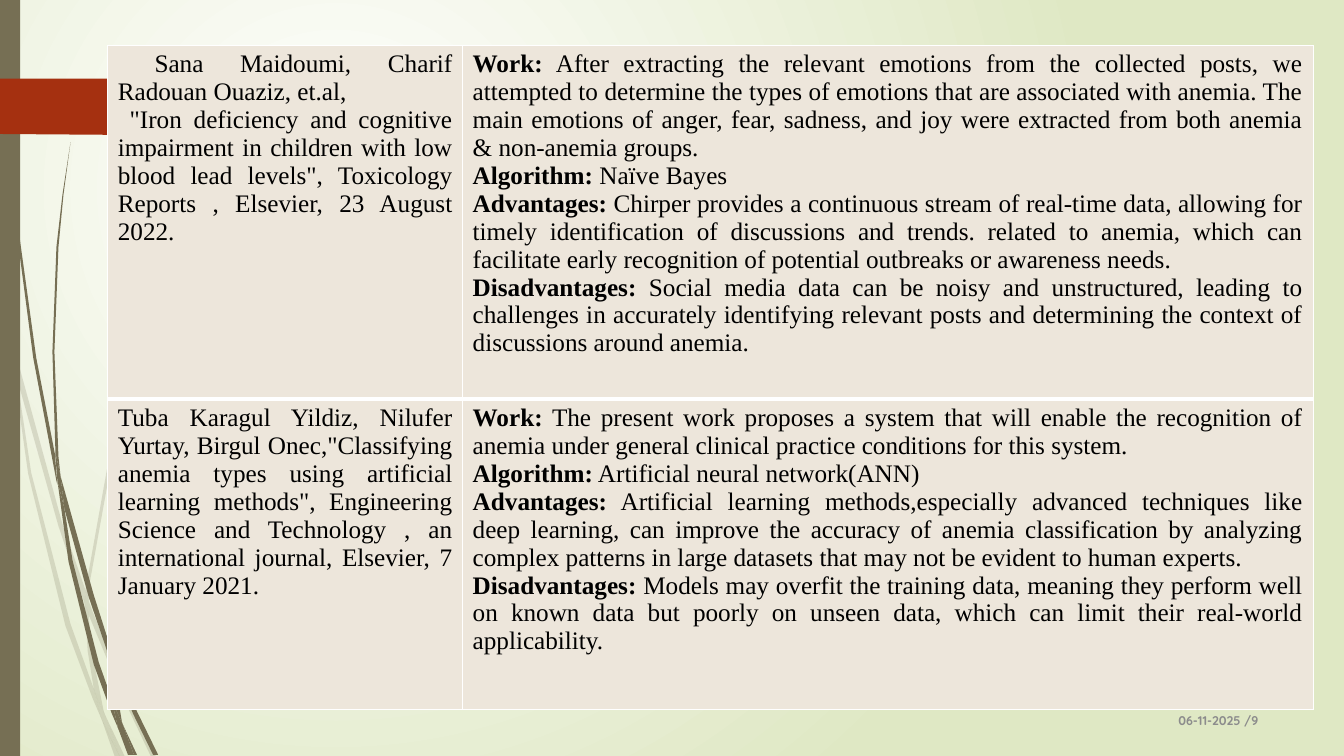
from lxml import etree
from pptx import Presentation
from pptx.dml.color import RGBColor
from pptx.enum.shapes import MSO_SHAPE as Preset
from pptx.enum.text import MSO_ANCHOR as Anchor, PP_ALIGN as Align
from pptx.oxml import parse_xml
from pptx.oxml.ns import nsdecls, qn
from pptx.util import Pt

WHITE = RGBColor(0xFF, 0xFF, 0xFF)
PALE_GREEN = RGBColor(0xDF, 0xE8, 0xC4)
OLIVE = RGBColor(0x76, 0x6F, 0x54)
RUST = RGBColor(0xA5, 0x30, 0x10)
SAND = RGBColor(0xED, 0xE6, 0xDB)
GREY = RGBColor(0x8C, 0x8C, 0x8C)
BLACK = RGBColor(0, 0, 0)

# Outline points are in units of 0.72 pt.
OUTLINE_UNIT = Pt(0.72)
FAINT_WISPS = [
    [(11, 350), (9, 322), (0, 282), (0, 299), (10, 344)],
    [(58, 522), (84, 599), (85, 586), (62, 520), (14, 345), (17, 376)],
    [(92, 607), (88, 596), (88, 610), (123, 694), (150, 751), (155, 751), (127, 692)],
    [(119, 751), (124, 751), (105, 711)],
    [(93, 683), (70, 619), (31, 469), (17, 376), (11, 350), (28, 470), (65, 621),
     (92, 693), (101, 714), (99, 707)],
    [(84, 599), (87, 646), (93, 683), (96, 692), (105, 711), (103, 706), (91, 646),
     (88, 610), (88, 608)],
    [(88, 584), (110, 462), (160, 349), (229, 245), (268, 198), (290, 175), (312, 154),
     (312, 153), (289, 175), (268, 197), (228, 244), (158, 348), (107, 461), (85, 584),
     (85, 586), (88, 596)],
    [(101, 714), (114, 751), (119, 751)],
    [(88, 608), (88, 610), (88, 596), (85, 586), (84, 599)],
    [(96, 692), (93, 683), (99, 707), (101, 714), (119, 751), (105, 711)],
]
DARK_WISPS = [
    [(7, 110), (17, 233), (33, 355), (56, 477), (57, 481), (55, 457), (55, 453),
     (36, 355), (19, 232), (8, 109), (5, 48), (4, 0), (3, 0), (4, 48)],
    [(88, 592), (106, 645), (106, 633), (106, 631), (93, 590), (60, 472), (64, 505)],
    [(113, 649), (110, 641), (111, 656), (132, 708), (152, 749), (157, 749), (136, 706)],
    [(110, 691), (98, 657), (72, 556), (64, 505), (57, 477), (68, 557), (93, 659),
     (111, 708), (117, 722), (116, 717)],
    [(60, 472), (58, 453), (54, 349), (58, 245), (63, 193), (70, 141), (62, 193),
     (56, 245), (52, 349), (55, 449)],
    [(133, 749), (136, 749), (122, 719)],
    [(57, 477), (64, 505), (60, 472), (55, 449), (55, 453)],
    [(111, 633), (125, 552), (158, 476), (205, 406), (231, 374), (245, 359), (261, 344),
     (260, 344), (245, 358), (231, 373), (204, 405), (156, 474), (122, 551), (106, 631),
     (110, 641)],
    [(117, 722), (127, 749), (131, 749)],
    [(106, 645), (110, 691), (116, 706), (122, 719), (121, 716), (111, 656), (109, 651)],
    [(106, 645), (109, 651), (111, 656), (110, 641), (106, 631), (106, 633)],
    [(116, 706), (110, 691), (116, 717), (117, 722), (130, 749), (133, 749), (122, 719)],
]
PAGE_ARROW = [(0, 78), (146, 78), (148, 79), (173, 104), (174, 106), (173, 108),
              (148, 133), (146, 134), (136, 134), (0, 133)]

# Each paragraph is a bold label and the words after it.
PAPERS = [
    ([("", " Sana Maidoumi, Charif Radouan Ouaziz, et.al,"),
      ("", ' "Iron deficiency and cognitive impairment in children with low blood lead '
           'levels", Toxicology Reports , Elsevier, 23 August 2022.')],
     [("Work:", " After extracting the relevant emotions from the collected posts, we "
                "attempted to determine the types of emotions that are associated with "
                "anemia. The main emotions of anger, fear, sadness, and joy were extracted "
                "from both anemia & non-anemia groups."),
      ("Algorithm:", " Naïve Bayes"),
      ("Advantages:", " Chirper provides a continuous stream of real-time data, allowing "
                      "for timely identification of discussions and trends. related to "
                      "anemia, which can facilitate early recognition of potential "
                      "outbreaks or awareness needs."),
      ("Disadvantages:", " Social media data can be noisy and unstructured, leading to "
                         "challenges in accurately identifying relevant posts and "
                         "determining the context of discussions around anemia.")]),
    ([("", 'Tuba Karagul Yildiz, Nilufer Yurtay, Birgul Onec,"Classifying anemia types '
           'using artificial learning methods", Engineering Science and Technology , an '
           'international journal, Elsevier, 7 January 2021.')],
     [("Work:", " The present work proposes a system that will enable the recognition of "
                "anemia under general clinical practice conditions for this system."),
      ("Algorithm:", " Artificial neural network(ANN)"),
      ("Advantages:", " Artificial learning methods,especially advanced techniques like "
                      "deep learning, can improve the accuracy of anemia classification by "
                      "analyzing complex patterns in large datasets that may not be evident "
                      "to human experts."),
      ("Disadvantages:", " Models may overfit the training data, meaning they perform well "
                         "on known data but poorly on unseen data, which can limit their "
                         "real-world applicability.")]),
]


def write(frame, paragraphs, font="Times New Roman", size=18, color=BLACK, align=Align.JUSTIFY):
    """Fill a text frame with (bold label, plain words) paragraphs."""
    for index, parts in enumerate(paragraphs):
        paragraph = frame.add_paragraph() if index else frame.paragraphs[0]
        paragraph.alignment = align
        for words, bold in zip(parts, (True, False)):
            if words:
                run = paragraph.add_run()
                run.text = words
                run.font.name, run.font.size, run.font.bold = font, Pt(size), bold
                run.font.color.rgb = color


class Page:
    def __init__(self, slide):
        self.slide = slide
        self.shapes = slide.shapes

    def background(self, center, edge):
        self.slide.background.fill.solid()
        properties = self.slide.element.find(".//" + qn("p:bgPr"))
        properties.replace(properties[0], parse_xml(
            f'<a:gradFill {nsdecls("a")} rotWithShape="1"><a:gsLst>'
            f'<a:gs pos="0"><a:srgbClr val="{center}"/></a:gs>'
            f'<a:gs pos="100000"><a:srgbClr val="{edge}"/></a:gs></a:gsLst>'
            '<a:path path="circle"><a:fillToRect l="50000" t="50000" r="100000" b="100000"/>'
            '</a:path></a:gradFill>'))

    def paint(self, shape, color, opacity=100):
        shape.shadow.inherit = False
        shape.line.fill.background()
        shape.fill.solid()
        shape.fill.fore_color.rgb = color
        if opacity < 100:
            tint = shape.element.spPr.find(".//" + qn("a:srgbClr"))
            etree.SubElement(tint, qn("a:alpha"), val=str(opacity * 1000))

    def outline(self, points, color, opacity=100, shapes=None):
        builder = (shapes or self.shapes).build_freeform(*points[0], scale=OUTLINE_UNIT)
        builder.add_line_segments(points[1:], close=True)
        self.paint(builder.convert_to_shape(), color, opacity)

    def wisps(self, outlines, color, opacity=100):
        group = self.shapes.add_group_shape()
        for points in outlines:
            self.outline(points, color, opacity, group.shapes)

    def bar(self, left, top, width, height, color):
        box = map(Pt, (left, top, width, height))
        self.paint(self.shapes.add_shape(Preset.RECTANGLE, *box), color)

    def border(self, cell, bottom):
        properties = cell._tc.get_or_add_tcPr()
        for side, width in zip("LRTB", (1, 1, 1, bottom)):
            line = etree.SubElement(properties, qn("a:ln" + side), w=str(Pt(width)))
            fill = etree.SubElement(line, qn("a:solidFill"))
            etree.SubElement(fill, qn("a:srgbClr"), val=str(WHITE))

    def table(self, rows, left, top, widths, heights):
        box = map(Pt, (left, top, sum(widths), sum(heights)))
        table = self.shapes.add_table(len(rows), len(widths), *box).table
        table.first_row = table.horz_banding = False
        for column, width in zip(table.columns, widths):
            column.width = Pt(width)
        for index, (row, height, entries) in enumerate(zip(table.rows, heights, rows)):
            row.height = Pt(height)
            for cell, paragraphs in zip(row.cells, entries):
                self.border(cell, bottom=1 if index else 3)
                cell.fill.solid()
                cell.fill.fore_color.rgb = SAND
                write(cell.text_frame, paragraphs)

    def text(self, paragraphs, left, top, width, height, **style):
        frame = self.shapes.add_textbox(*map(Pt, (left, top, width, height))).text_frame
        frame.word_wrap = True
        frame.vertical_anchor = Anchor.MIDDLE
        write(frame, paragraphs, **style)


def main():
    deck = Presentation()
    deck.slide_width, deck.slide_height = Pt(960), Pt(540)
    page = Page(deck.slides.add_slide(deck.slide_layouts[6]))
    page.background(WHITE, PALE_GREEN)
    page.wisps(FAINT_WISPS, OLIVE, opacity=20)
    page.wisps(DARK_WISPS, OLIVE)
    page.bar(0, 0, 14.4, 540, OLIVE)
    page.outline(PAGE_ARROW, RUST)
    page.table(PAPERS, 77, 32.4, widths=(253.5, 607.5), heights=(252.7, 221.8))
    page.text([("06-11-2025 /9", "")], 815.8, 482.4, 90, 64,
              font="Quicksand", size=9, color=GREY, align=Align.RIGHT)
    deck.save("out.pptx")


if __name__ == "__main__":
    main()
